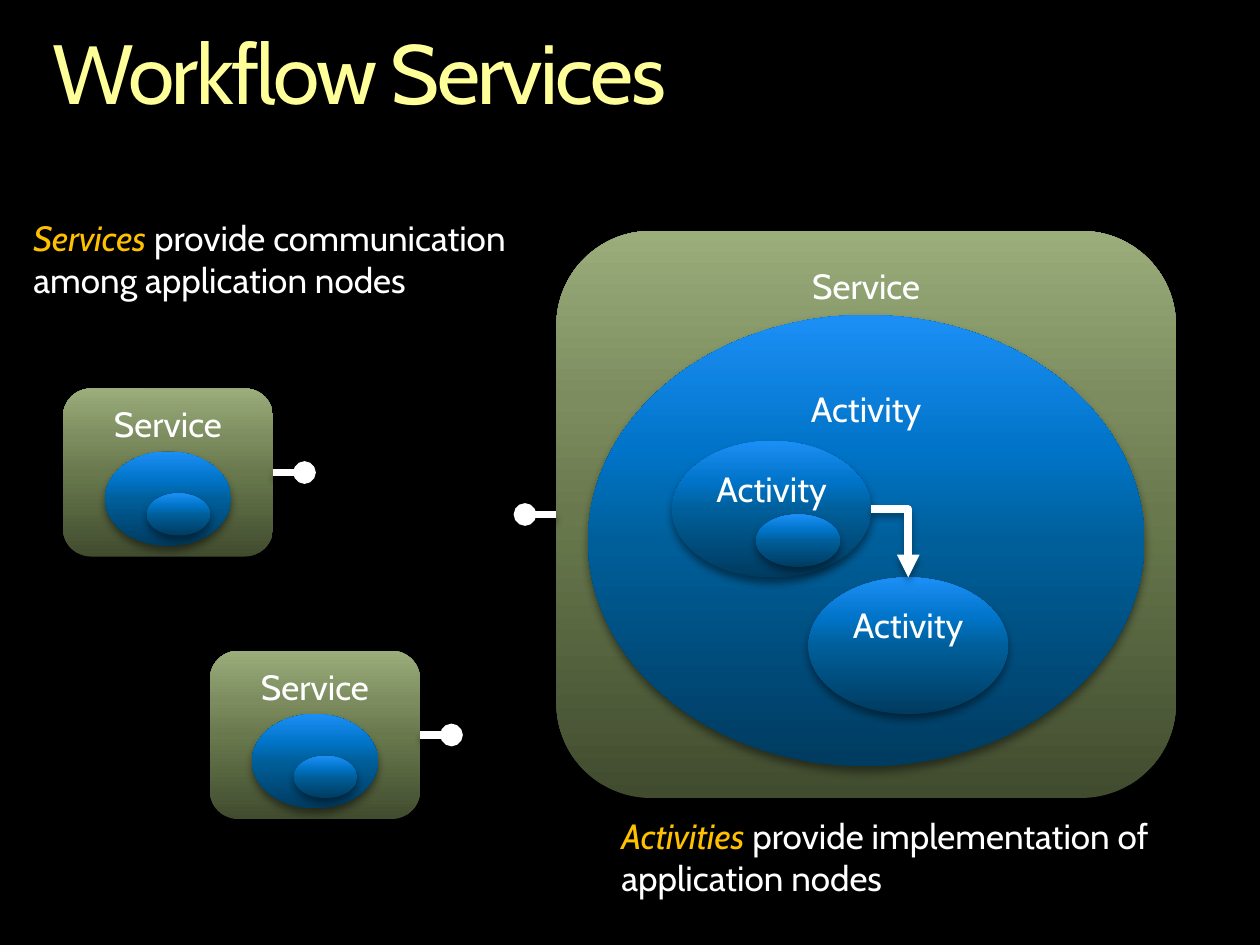
"""Build the Workflow Services slide: services that hold nested activities."""
from copy import deepcopy

from pptx import Presentation
from pptx import oxml
from pptx import util as u
from pptx.dml.color import RGBColor
from pptx.enum import shapes, text
from pptx.oxml import ns

BLACK = RGBColor(0x00, 0x00, 0x00)
WHITE = RGBColor(0xFF, 0xFF, 0xFF)
YELLOW = RGBColor(0xFF, 0xFF, 0x99)
AMBER = RGBColor(0xFF, 0xC0, 0x00)
GREEN = (RGBColor(0x41, 0x4C, 0x2F), RGBColor(0x69, 0x79, 0x4D),
         RGBColor(0x7C, 0x8C, 0x5F), RGBColor(0x9B, 0xAD, 0x7B))
BLUE = (RGBColor(0x00, 0x3B, 0x60), RGBColor(0x00, 0x5F, 0x9A),
        RGBColor(0x00, 0x74, 0xC8), RGBColor(0x1C, 0x8F, 0xF6))
STOPS = (0, 0.5, 0.7, 1)
FONT = "Cabin"
KIND = shapes.MSO_SHAPE
LINK = shapes.MSO_CONNECTOR


def pts(*sizes):
    """Turn plain numbers into point lengths."""
    return [u.Pt(size) for size in sizes]


def add_run(para, words, color, size=20, slant=False):
    """Add one styled run to a paragraph."""
    run = para.add_run()
    run.text = words
    font = run.font
    font.name, font.size, font.italic = FONT, u.Pt(size), slant
    font.color.rgb = color
    return run


def add_shade(item, alpha, blur):
    """Give a shape or connector a soft shadow straight below it."""
    item._element.spPr.append(oxml.parse_xml(
        f'<a:effectLst {ns.nsdecls("a")}><a:outerShdw blurRad="{u.Pt(blur)}" '
        f'dist="{u.Pt(3)}" dir="5400000" algn="ctr" rotWithShape="0">'
        f'<a:srgbClr val="000000"><a:alpha val="{alpha * 1000}"/></a:srgbClr>'
        '</a:outerShdw></a:effectLst>'))


def add_block(slide, kind, tones, box, label=""):
    """Add a shape with a vertical gradient and a label at its top."""
    shape = slide.shapes.add_shape(kind, *pts(*box))
    shape.line.fill.background()
    fill = shape.fill
    fill.gradient()
    fill.gradient_angle = 90
    stops = shape._element.spPr.find(".//" + ns.qn("a:gsLst"))
    while len(stops) < len(tones):
        stops.append(deepcopy(stops[0]))
    for stop, tone, place in zip(fill.gradient_stops, tones, STOPS):
        stop.color.rgb, stop.position = tone, place
    add_shade(shape, 45, 5)
    if label:
        frame = shape.text_frame
        frame.vertical_anchor = text.MSO_ANCHOR.TOP
        para = frame.paragraphs[0]
        para.alignment = text.PP_ALIGN.CENTER
        add_run(para, label, WHITE)


def add_service(slide, box):
    """Add a service box."""
    add_block(slide, KIND.ROUNDED_RECTANGLE, GREEN, box, "Service")


def add_active(slide, box, label=""):
    """Add an activity ellipse."""
    add_block(slide, KIND.OVAL, BLUE, box, label)


def add_link(slide, kind, ends, tip):
    """Add a thick white connector with an end mark."""
    link = slide.shapes.add_connector(kind, *pts(*ends))
    link.line.color.rgb, link.line.width = WHITE, u.Pt(4.33)
    link.line._get_or_add_ln().append(
        oxml.parse_xml(f'<a:tailEnd {ns.nsdecls("a")} type="{tip}"/>'))
    add_shade(link, 35, 4)
    return link


def add_node(slide, left, top):
    """Add a small service with two nested activities and a port."""
    add_service(slide, (left, top, 120, 96))
    add_active(slide, (left + 24, top + 36, 72, 54))
    add_active(slide, (left + 48, top + 60, 36, 24))
    add_link(slide, LINK.STRAIGHT,
             (left + 120, top + 48, left + 138, top + 48), "oval")


def add_title(slide, words):
    """Add the slide title."""
    frame = slide.shapes.add_textbox(*pts(30, 18, 660, 52.5)).text_frame
    frame.word_wrap = True
    frame.margin_left = frame.margin_right = 0
    frame.margin_top = frame.margin_bottom = 0
    para = frame.paragraphs[0]
    para.line_spacing = 0.9
    run = add_run(para, words, YELLOW, 48)
    run.font._element.set("spc", "-150")


def add_note(slide, box, term, rest):
    """Add a note that opens with a highlighted term."""
    frame = slide.shapes.add_textbox(*pts(*box)).text_frame
    frame.word_wrap = True
    para = frame.paragraphs[0]
    add_run(para, term, AMBER, slant=True)
    add_run(para, rest, WHITE)


def main():
    """Build and save the slide."""
    deck = Presentation()
    deck.slide_width, deck.slide_height = pts(720, 540)
    slide = deck.slides.add_slide(deck.slide_layouts[6])
    slide.background.fill.solid()
    slide.background.fill.fore_color.rgb = BLACK

    add_title(slide, "Workflow Services")
    add_note(slide, (12, 120, 312, 55.5), "Services",
             " provide communication among application nodes")
    for left, top in ((36, 222), (120, 372)):
        add_node(slide, left, top)

    add_service(slide, (318, 132, 354, 324))
    for box in ((336, 180, 318, 258), (384, 252, 114, 78),
                (462, 330, 114, 78)):
        add_active(slide, box, "Activity")
    add_active(slide, (432, 294, 48, 30))
    bend = add_link(slide, LINK.ELBOW, (498, 291, 519, 330), "triangle")
    bend._element.spPr.find(ns.qn("a:prstGeom")).set("prst", "bentConnector2")
    add_link(slide, LINK.STRAIGHT, (318, 294, 300, 294), "oval")
    add_note(slide, (348, 462, 324, 55.5), "Activities",
             " provide implementation of application nodes")
    deck.save("out.pptx")


if __name__ == "__main__":
    main()
